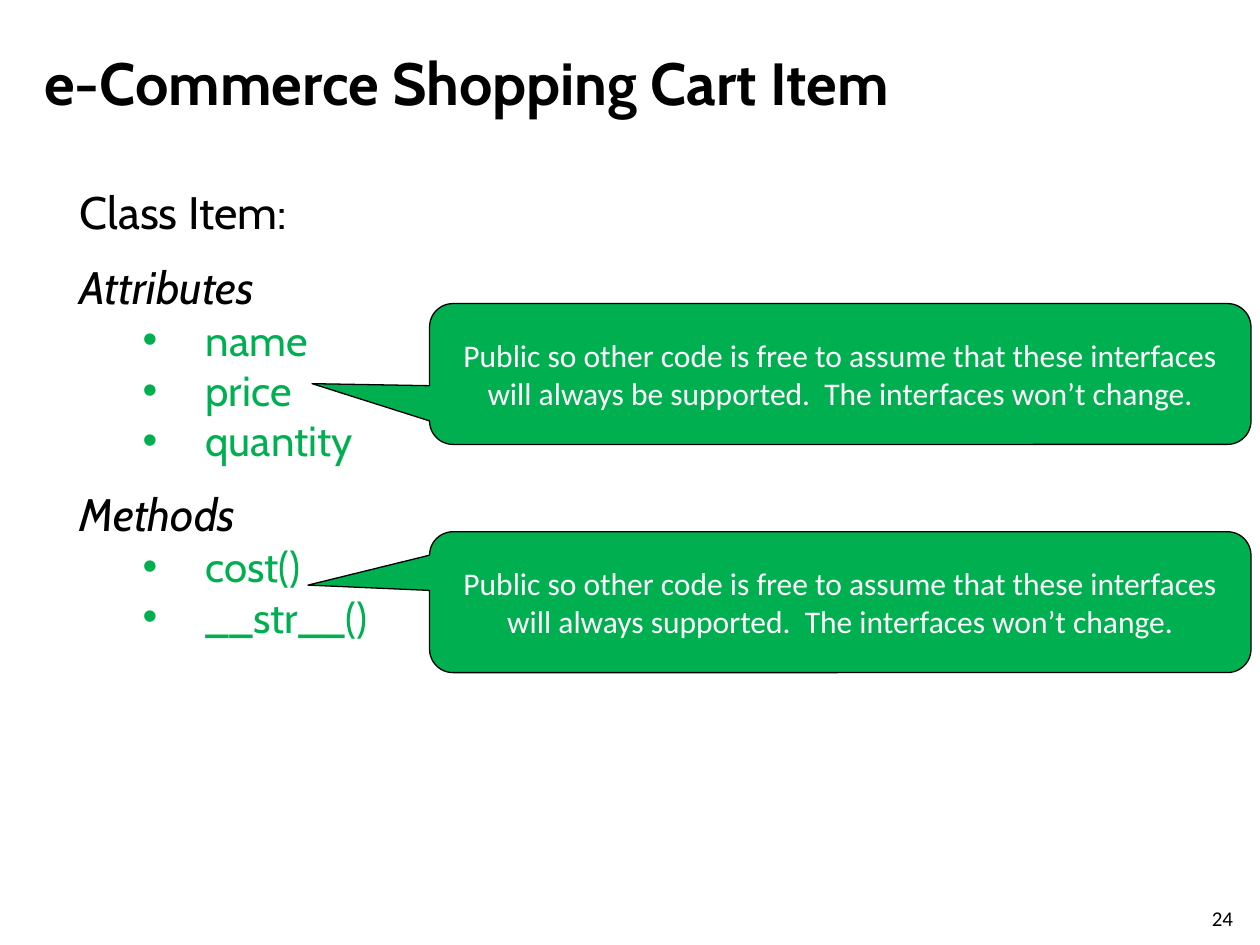
from dataclasses import dataclass

from lxml.etree import SubElement
from pptx import Presentation
from pptx.dml.color import RGBColor
from pptx.enum.shapes import MSO_SHAPE as Shape
from pptx.enum.text import MSO_ANCHOR as Anchor, MSO_AUTO_SIZE as Fit, PP_ALIGN as Align
from pptx.oxml.ns import qn
from pptx.util import Cm, Pt

GREEN, BLACK, WHITE = "00B050", "000000", "FFFFFF"


@dataclass
class Line:
    text: str
    item: bool = False
    italic: bool = False
    after: int = 0


@dataclass
class Note:
    text: str
    top: float
    tip: tuple[float, float]


LINES = [
    Line("Class Item:", after=12),
    Line("Attributes", italic=True),
    Line("name", item=True),
    Line("price", item=True),
    Line("quantity", item=True, after=12),
    Line("Methods", italic=True),
    Line("cost()", item=True),
    Line("__str__()", item=True),
]

CLAIM = "Public so other code is free to assume that these interfaces will always "
END = "supported.  The interfaces won’t change."
NOTES = [
    Note(CLAIM + END, 10.72, (-0.648, -0.121)),
    Note(CLAIM + "be " + END, 6.12, (-0.643, 0.069)),
]


def color(code: str) -> RGBColor:
    return RGBColor.from_string(code)


def style(para, face: str, size: int, code: str) -> None:
    font = para.font
    font.name, font.size = face, Pt(size)
    font.color.rgb = color(code)


def place(shape, left: float, top: float, width: float, height: float) -> None:
    shape.left, shape.top = Cm(left), Cm(top)
    shape.width, shape.height = Cm(width), Cm(height)


def indent(para, item: bool) -> None:
    """Give an item a hanging bullet, and any other line none."""
    props = para._p.get_or_add_pPr()
    props.set("marL", str(Cm(2.54) if item else 0))
    props.set("indent", str(Cm(-1.27) if item else 0))
    if item:
        SubElement(props, qn("a:buFont"), typeface="Arial")
        SubElement(props, qn("a:buChar"), char="•")
    else:
        SubElement(props, qn("a:buNone"))


def add_line(para, line: Line) -> None:
    para.text = line.text
    para.level = int(line.item)
    indent(para, line.item)
    para.space_before, para.space_after = Pt(0), Pt(line.after)
    style(para, "Cabin", 24 if line.item else 26, GREEN if line.item else BLACK)
    para.font.italic = line.italic


def add_note(slide, note: Note) -> None:
    box = slide.shapes.add_shape(
        Shape.ROUNDED_RECTANGULAR_CALLOUT, Cm(8.66), Cm(note.top), Cm(16.56), Cm(2.84))
    box.adjustments[0], box.adjustments[1] = note.tip
    box.shadow.inherit = False
    box.fill.solid()
    box.fill.fore_color.rgb = color(GREEN)
    box.line.color.rgb = color(BLACK)
    box.line.width = Pt(0.75)
    frame = box.text_frame
    frame.word_wrap = True
    frame.vertical_anchor = Anchor.MIDDLE
    para = frame.paragraphs[0]
    para.text = note.text
    para.alignment = Align.CENTER
    style(para, "Calibri", 18, WHITE)


def main() -> None:
    deck = Presentation()
    deck.slide_width, deck.slide_height = Cm(25.4), Cm(19.05)
    slide = deck.slides.add_slide(deck.slide_layouts[1])
    title, body = slide.placeholders

    place(body, 1.35, 3.58, 10.19, 12.52)
    frame = body.text_frame
    frame.auto_size = Fit.NONE
    for i, line in enumerate(LINES):
        add_line(frame.add_paragraph() if i else frame.paragraphs[0], line)

    place(title, 0.64, 0.76, 22.02, 1.78)
    title.text_frame.auto_size = Fit.NONE
    head = title.text_frame.paragraphs[0]
    head.text = "e-Commerce Shopping Cart Item"
    head.alignment = Align.LEFT
    style(head, "Cabin", 34, BLACK)
    head.font.bold = True

    page = slide.shapes.add_textbox(Cm(24.18), Cm(18.14), Cm(1.02), Cm(0.61))
    count = page.text_frame.paragraphs[0]
    count.text = "24"
    style(count, "Calibri", 12, BLACK)

    for note in NOTES:
        add_note(slide, note)

    deck.save("out.pptx")


if __name__ == "__main__":
    main()
